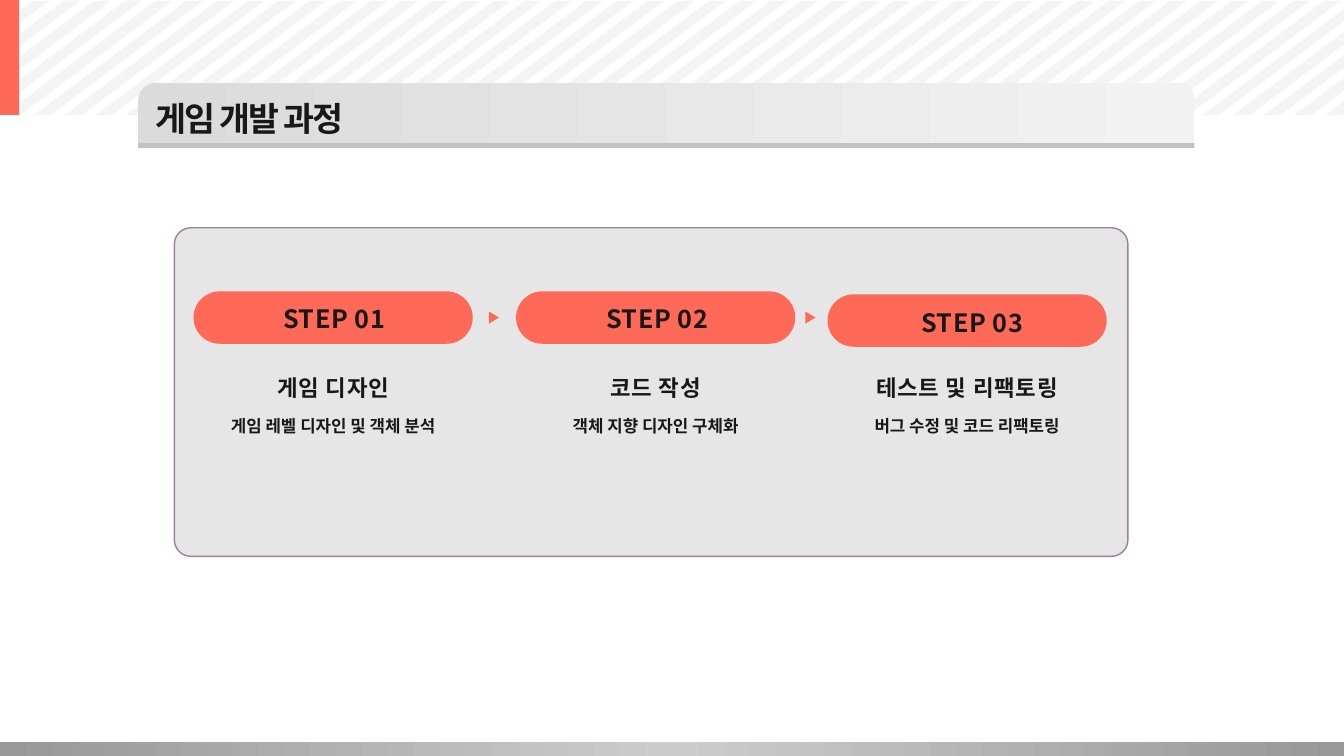
from dataclasses import dataclass

from lxml import etree
from pptx import Presentation
from pptx.dml.color import RGBColor
from pptx.enum.shapes import MSO_SHAPE
from pptx.enum.text import MSO_AUTO_SIZE, PP_ALIGN
from pptx.oxml.ns import qn
from pptx.util import Inches, Pt

RECTANGLE = MSO_SHAPE.RECTANGLE
ROUNDED = MSO_SHAPE.ROUNDED_RECTANGLE
ROUNDED_TOP = MSO_SHAPE.ROUND_2_SAME_RECTANGLE
TRIANGLE = MSO_SHAPE.ISOSCELES_TRIANGLE
FIT_TEXT = MSO_AUTO_SIZE.SHAPE_TO_FIT_TEXT
LEFT, CENTER = PP_ALIGN.LEFT, PP_ALIGN.CENTER

FONT = "Noto Sans CJK KR"
COLORS = {
    "accent": "FF6957",
    "text": "181818",
    "stripe": "EBEBEB",
    "panel": "DBDBDB",
    "panel_line": "9A819D",
    "title_start": "DBDBDB",
    "title_end": "F2F2F2",
    "rule": "C2C2C2",
    "footer_edge": "989898",
    "footer_middle": "CCCCCC",
}

COLUMNS, ROWS = 160, 90
presentation = Presentation()
presentation.slide_width = Inches(13.33)
presentation.slide_height = Inches(7.5)
COLUMN = presentation.slide_width / COLUMNS
ROW = presentation.slide_height / ROWS
slide = presentation.slides.add_slide(presentation.slide_layouts[6])


@dataclass(frozen=True)
class Box:
    left: float
    top: float
    width: float
    height: float

    def emu(self) -> tuple[int, int, int, int]:
        return (round(self.left * COLUMN), round(self.top * ROW),
                round(self.width * COLUMN), round(self.height * ROW))


@dataclass(frozen=True)
class TextStyle:
    size: float
    spacing: int = 0
    align: PP_ALIGN = CENTER
    wrap: bool = True


@dataclass(frozen=True)
class Step:
    left: float
    top: float
    label: str
    label_center: float
    label_width: float
    heading: str
    heading_width: float
    detail: str
    detail_width: float
    arrow_left: float | None = None


TITLE = TextStyle(24, -130, LEFT)
LABEL = TextStyle(18, 40)
HEADING = TextStyle(16, 60, wrap=False)
DETAIL = TextStyle(12)

PILL_WIDTH, PILL_HEIGHT = 33.24, 6.24
STEPS = [
    Step(23.04, 34.68, "STEP 01", 39.78, 29.16, "게임 디자인", 17.4,
         "게임 레벨 디자인 및 객체 분석", 32.64),
    Step(61.44, 34.68, "STEP 02", 78.24, 27.36, "코드 작성", 14.64,
         "객체 지향 디자인 구체화", 29.16, 58.08),
    Step(98.52, 35.04, "STEP 03", 115.74, 29.64, "테스트 및 리팩토링", 26.88,
         "버그 수정 및 코드 리팩토링", 29.16, 95.76),
]

STRIPE_TOP, STRIPE_BOTTOM = 0.09, 13.7
STRIPE_START, STRIPE_PITCH = 0.4, 3.66
STRIPE_WIDTH, STRIPE_SLANT = 1.97, 18.15
STRIPES = range(-5, 44)


def paint(shape, color: str, opacity: int = 100) -> None:
    shape.fill.solid()
    shape.fill.fore_color.rgb = RGBColor.from_string(COLORS[color])
    if opacity < 100:
        tone = shape._element.spPr.find(f"{qn('a:solidFill')}/{qn('a:srgbClr')}")
        etree.SubElement(tone, qn("a:alpha"), val=str(opacity * 1000))


def paint_gradient(shape, colors: list[str]) -> None:
    shape.fill.gradient()
    shape.fill.gradient_angle = 0
    stops = shape._element.spPr.find(f"{qn('a:gradFill')}/{qn('a:gsLst')}")
    for stop in list(stops):
        stops.remove(stop)
    for index, color in enumerate(colors):
        position = 100000 * index // (len(colors) - 1)
        stop = etree.SubElement(stops, qn("a:gs"), pos=str(position))
        etree.SubElement(stop, qn("a:srgbClr"), val=COLORS[color])


def add_block(kind: MSO_SHAPE, box: Box, color: str | None = None,
              opacity: int = 100, corners: tuple[float, ...] = ()):
    shape = slide.shapes.add_shape(kind, *box.emu())
    shape.shadow.inherit = False
    shape.line.fill.background()
    for index, corner in enumerate(corners):
        shape.adjustments[index] = corner
    if color:
        paint(shape, color, opacity)
    return shape


def add_text(box: Box, text: str, style: TextStyle, color: str | None = None) -> None:
    shape = slide.shapes.add_textbox(*box.emu())
    if color:
        paint(shape, color)
    frame = shape.text_frame
    frame.word_wrap = style.wrap
    frame.auto_size = FIT_TEXT
    paragraph = frame.paragraphs[0]
    paragraph.text = text
    paragraph.alignment = style.align
    paragraph.font.name = FONT
    paragraph.font.size = Pt(style.size)
    paragraph.font.bold = True
    paragraph.font.color.rgb = RGBColor.from_string(COLORS["text"])
    properties = paragraph._p.pPr.find(qn("a:defRPr"))
    properties.set("spc", str(style.spacing))
    etree.SubElement(properties, qn("a:ea"), typeface=FONT)


def clip(points: list[tuple[float, float]], limit: float,
         side: int) -> list[tuple[float, float]]:
    kept = []
    for (x1, y1), (x2, y2) in zip(points, points[1:] + points[:1]):
        inside, next_inside = side * (x1 - limit) >= 0, side * (x2 - limit) >= 0
        if inside:
            kept.append((x1, y1))
        if inside != next_inside:
            kept.append((limit, y1 + (y2 - y1) * (limit - x1) / (x2 - x1)))
    return kept


def add_stripe(index: int) -> None:
    foot = STRIPE_START + index * STRIPE_PITCH
    head = foot + STRIPE_SLANT
    points = [(foot, STRIPE_BOTTOM), (foot + STRIPE_WIDTH, STRIPE_BOTTOM),
              (head + STRIPE_WIDTH, STRIPE_TOP), (head, STRIPE_TOP)]
    points = clip(clip(points, 0, 1), COLUMNS, -1)
    corners = [(round(x * COLUMN), round(y * ROW)) for x, y in points]
    builder = slide.shapes.build_freeform(*corners[0])
    builder.add_line_segments(corners[1:], close=True)
    stripe = builder.convert_to_shape()
    stripe.shadow.inherit = False
    stripe.line.fill.background()
    paint(stripe, "stripe", 52)


def add_step(step: Step) -> None:
    center = step.left + PILL_WIDTH / 2
    add_block(ROUNDED, Box(step.left, step.top, PILL_WIDTH, PILL_HEIGHT),
              "accent", corners=(0.5,))
    add_text(Box(step.label_center - step.label_width / 2, step.top + 0.9,
                 step.label_width, 4.8), step.label, LABEL, "accent")
    add_text(Box(center - step.heading_width / 2, 44, step.heading_width, 4.44),
             step.heading, HEADING)
    add_text(Box(center - step.detail_width / 2, 48.88, step.detail_width, 3.6),
             step.detail, DETAIL)
    if step.arrow_left is not None:
        arrow = add_block(TRIANGLE, Box(step.arrow_left, 37.2, 1.44, 1.2), "accent")
        arrow.rotation = 90


def main() -> None:
    for index in STRIPES:
        add_stripe(index)
    footer = add_block(RECTANGLE, Box(0, 88.32, COLUMNS, 1.68))
    paint_gradient(footer, ["footer_edge", "footer_middle", "footer_edge"])
    add_block(RECTANGLE, Box(0, 0, 2.28, 13.68), "accent")
    title_bar = add_block(ROUNDED_TOP, Box(16.44, 9.84, 125.76, 7.2), corners=(0.3, 0))
    paint_gradient(title_bar, ["title_start", "title_end"])
    add_block(RECTANGLE, Box(16.44, 17.04, 125.76, 0.6), "rule")
    add_text(Box(17.28, 11.04, 67.92, 6), "게임 개발 과정", TITLE)
    panel = add_block(ROUNDED, Box(20.76, 27.12, 113.52, 39.12), "panel", 68, (0.05,))
    panel.line.color.rgb = RGBColor.from_string(COLORS["panel_line"])
    panel.line.width = Pt(1)
    for step in STEPS:
        add_step(step)
    presentation.save("out.pptx")


if __name__ == "__main__":
    main()
